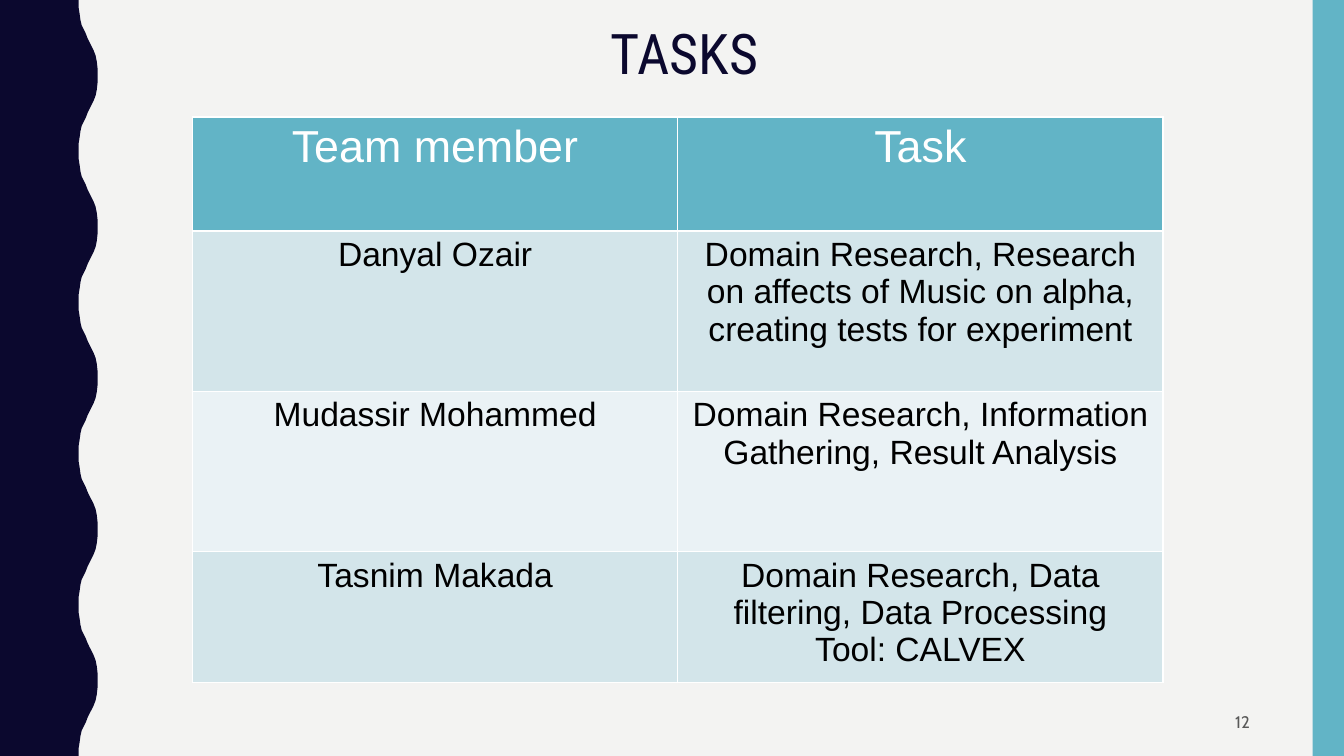
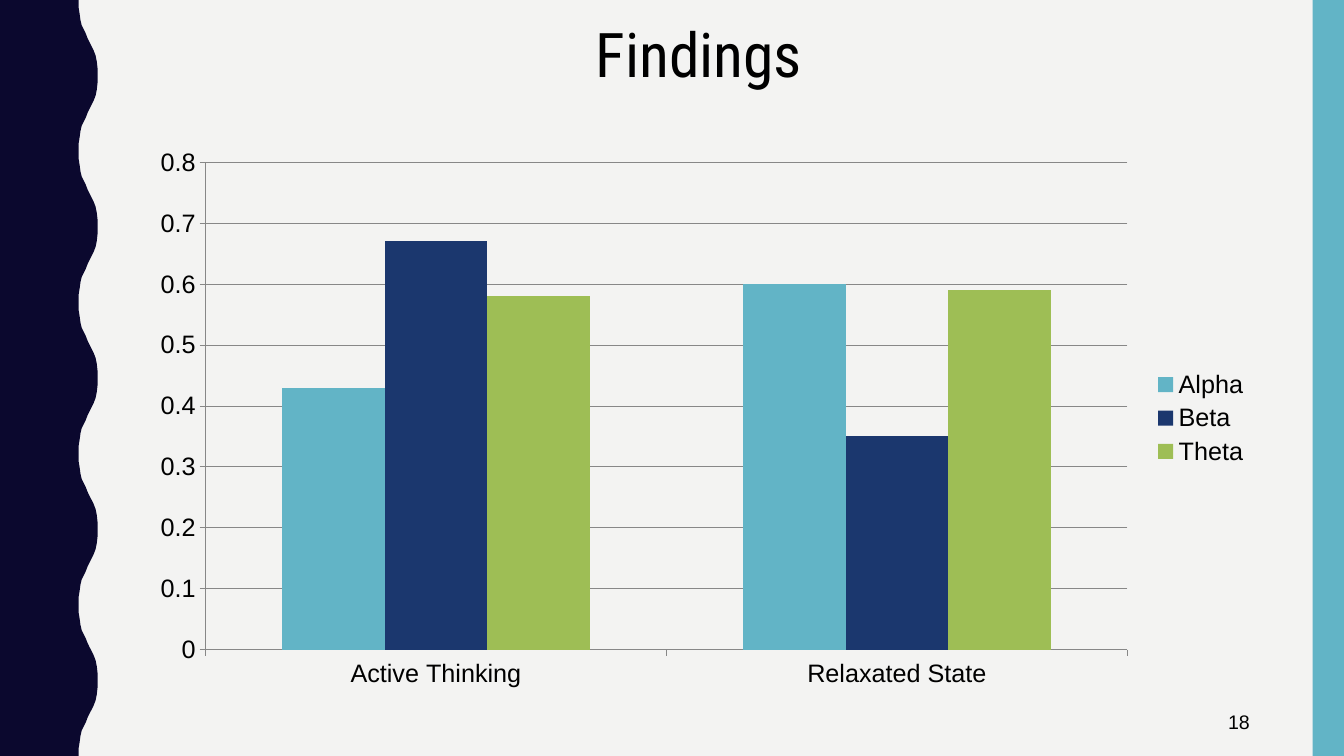
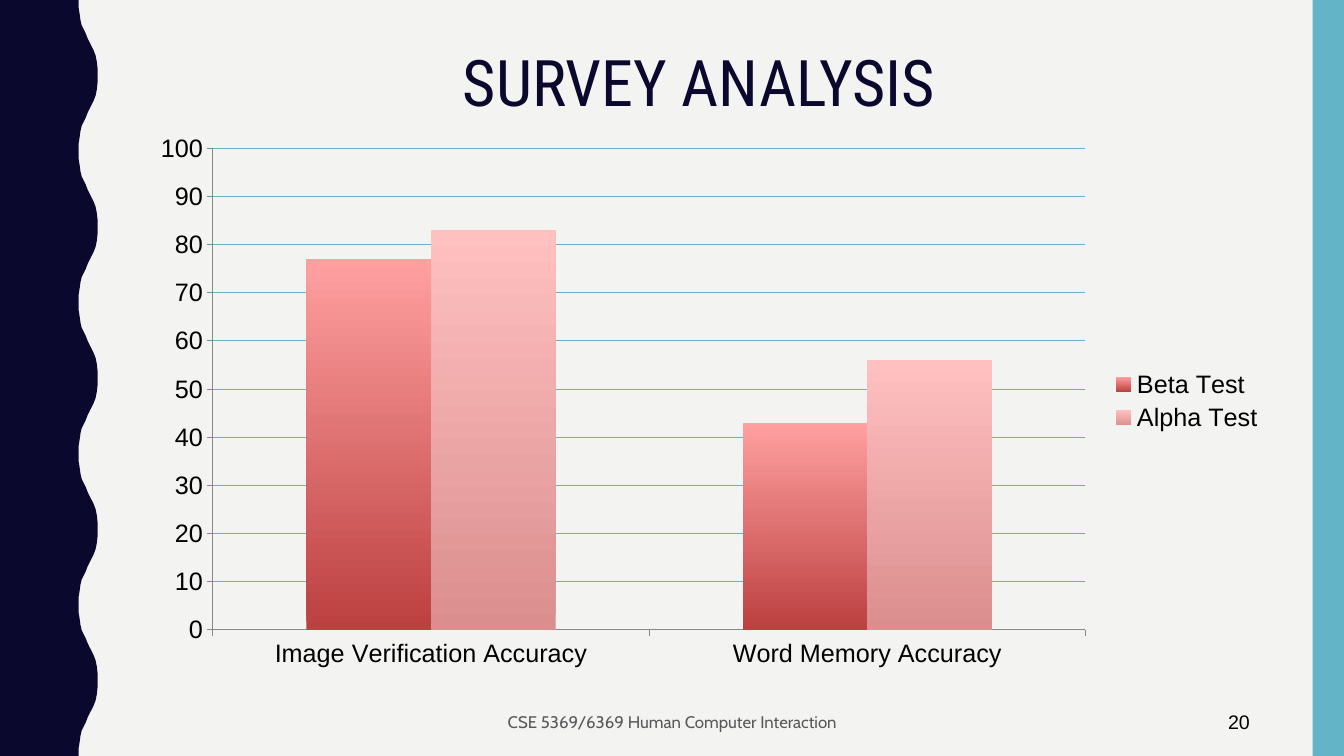
from dataclasses import dataclass

import lxml.etree
import pptx
import pptx.chart.data
import pptx.dml.color
import pptx.enum.chart
import pptx.enum.shapes
import pptx.enum.text
import pptx.oxml.ns
import pptx.util

Cm = pptx.util.Cm
Pt = pptx.util.Pt
RGBColor = pptx.dml.color.RGBColor
Align = pptx.enum.text.PP_ALIGN

PAPER = RGBColor(0xF3, 0xF3, 0xF2)
NAVY = RGBColor(0x0B, 0x08, 0x2E)
TEAL = RGBColor(0x62, 0xB4, 0xC6)
BLUE = RGBColor(0x1B, 0x37, 0x6E)
GREEN = RGBColor(0x9E, 0xBE, 0x55)
GREY = RGBColor(0x59, 0x59, 0x59)
AXIS_GREY = RGBColor(0x87, 0x87, 0x87)
BLACK = RGBColor(0, 0, 0)
WHITE = RGBColor(0xFF, 0xFF, 0xFF)
ROW_DARK = RGBColor(0xD3, 0xE5, 0xEA)
ROW_LIGHT = RGBColor(0xEA, 0xF2, 0xF5)
RED_LIGHT = RGBColor(0xFF, 0xA0, 0xA0)
RED_DARK = RGBColor(0xBC, 0x40, 0x40)
PINK_LIGHT = RGBColor(0xFF, 0xC0, 0xC0)
PINK_DARK = RGBColor(0xDB, 0x8E, 0x8E)

SLIDE_WIDTH, SLIDE_HEIGHT = 33.87, 19.05
BAND_WIDTH = 0.79
WAVE_COUNT = 5
WAVE_LENGTH = SLIDE_HEIGHT / WAVE_COUNT
HALF_WAVE = [
    (1.98, 0), (1.98, 0.18), (2.01, 0.36), (2.03, 0.51), (2.06, 0.64),
    (2.11, 0.74), (2.16, 0.84), (2.21, 0.97), (2.26, 1.07), (2.31, 1.17),
    (2.36, 1.27), (2.41, 1.4), (2.44, 1.55), (2.46, 1.73), (2.46, 1.9),
]


@dataclass(frozen=True)
class Box:
    left: float
    top: float
    width: float
    height: float

    def lengths(self) -> list[pptx.util.Length]:
        return [Cm(n) for n in (self.left, self.top, self.width, self.height)]


@dataclass(frozen=True)
class Style:
    font: str
    size: float
    color: RGBColor
    align: Align = Align.CENTER
    spacing: float = 1.0


@dataclass(frozen=True)
class Series:
    name: str
    values: tuple[float, ...]
    top_color: RGBColor
    bottom_color: RGBColor | None = None


@dataclass(frozen=True)
class ColumnChart:
    box: Box
    categories: tuple[str, ...]
    series: tuple[Series, ...]
    maximum: float
    step: float
    grid_color: RGBColor


FOOTER_BOX = Box(11.23, 17.7, 11.43, 0.97)
NUMBER_BOX = Box(23.93, 17.7, 7.82, 0.97)
SMALL = Style("Cabin", 12, GREY)
NUMBER_SMALL = Style("Cabin", 12, GREY, Align.RIGHT)
NUMBER_LARGE = Style("Arial", 14, BLACK, Align.RIGHT)
HEADER = Style("Arial", 32, WHITE)
BODY = Style("Arial", 24, BLACK)

ROW_HEIGHTS = (2.87, 4.04, 4.04, 3.07)
TABLE_BOX = Box(4.85, 2.95, 24.46, sum(ROW_HEIGHTS))
TASKS = [
    ("Team member", "Task"),
    ("Danyal Ozair",
     "Domain Research, Research on affects of Music on alpha, creating tests for experiment"),
    ("Mudassir Mohammed", "Domain Research, Information Gathering, Result Analysis"),
    ("Tasnim Makada", "Domain Research, Data filtering, Data Processing\nTool: CALVEX"),
]

FINDINGS = ColumnChart(
    Box(3.48, 3.45, 28.27, 14.17),
    ("Active Thinking", "Relaxated State"),
    (
        Series("Alpha", (0.43, 0.6), TEAL),
        Series("Beta", (0.67, 0.35), BLUE),
        Series("Theta", (0.58, 0.59), GREEN),
    ),
    0.8, 0.1, AXIS_GREY,
)
SURVEY = ColumnChart(
    Box(3.48, 3.1, 28.63, 14.02),
    ("Image Verification Accuracy", "Word Memory Accuracy"),
    (
        Series("Beta Test", (77, 43), RED_LIGHT, RED_DARK),
        Series("Alpha Test", (83, 56), PINK_LIGHT, PINK_DARK),
    ),
    100, 10, TEAL,
)


def write(frame, text: str, style: Style) -> None:
    for index, line in enumerate(text.split("\n")):
        paragraph = frame.add_paragraph() if index else frame.paragraphs[0]
        paragraph.alignment = style.align
        paragraph.line_spacing = style.spacing
        run = paragraph.add_run()
        run.text = line
        run.font.name = style.font
        run.font.size = Pt(style.size)
        run.font.bold = False
        run.font.color.rgb = style.color


def add_text(slide, box: Box, text: str, style: Style) -> None:
    frame = slide.shapes.add_textbox(*box.lengths()).text_frame
    frame.word_wrap = True
    frame.vertical_anchor = pptx.enum.text.MSO_ANCHOR.MIDDLE
    write(frame, text, style)


def paint(shape, color: RGBColor) -> None:
    shape.shadow.inherit = False
    shape.fill.solid()
    shape.fill.fore_color.rgb = color
    shape.line.fill.background()


def add_wave(slide) -> None:
    mirrored = [(x, WAVE_LENGTH - y) for x, y in reversed(HALF_WAVE[:-1])]
    edge = [
        (Cm(x), Cm(y + wave * WAVE_LENGTH))
        for wave in range(WAVE_COUNT)
        for x, y in HALF_WAVE + mirrored
    ]
    outline = slide.shapes.build_freeform(0, 0)
    outline.add_line_segments(edge + [(0, Cm(SLIDE_HEIGHT))], close=True)
    paint(outline.convert_to_shape(), NAVY)


def add_page(deck, title: str, title_box: Box, size: float, color: RGBColor,
             number: str, number_style: Style):
    slide = deck.slides.add_slide(deck.slide_layouts[6])
    add_wave(slide)
    band = Box(SLIDE_WIDTH - BAND_WIDTH, 0, BAND_WIDTH, SLIDE_HEIGHT)
    paint(slide.shapes.add_shape(
        pptx.enum.shapes.MSO_SHAPE.RECTANGLE, *band.lengths()), TEAL)
    add_text(slide, title_box, title,
             Style("Roboto Condensed", size, color, spacing=0.9))
    add_text(slide, NUMBER_BOX, number, number_style)
    return slide


def add_borders(cell) -> None:
    properties = cell._tc.get_or_add_tcPr()
    for side in ("lnL", "lnR", "lnT", "lnB"):
        line = lxml.etree.SubElement(
            properties, pptx.oxml.ns.qn(f"a:{side}"), w=str(Pt(1)))
        fill = lxml.etree.SubElement(line, pptx.oxml.ns.qn("a:solidFill"))
        lxml.etree.SubElement(fill, pptx.oxml.ns.qn("a:srgbClr"), val=str(WHITE))


def add_tasks(slide) -> None:
    table = slide.shapes.add_table(
        len(TASKS), len(TASKS[0]), *TABLE_BOX.lengths()).table
    table.first_row = False
    table.horz_banding = False
    for index, (row, height) in enumerate(zip(TASKS, ROW_HEIGHTS)):
        table.rows[index].height = Cm(height)
        band = ROW_DARK if index % 2 else ROW_LIGHT
        for column, text in enumerate(row):
            cell = table.cell(index, column)
            add_borders(cell)
            cell.fill.solid()
            cell.fill.fore_color.rgb = band if index else TEAL
            write(cell.text_frame, text, BODY if index else HEADER)


def fill_columns(fill, series: Series) -> None:
    if series.bottom_color is None:
        fill.solid()
        fill.fore_color.rgb = series.top_color
        return
    fill.gradient()
    fill.gradient_angle = 90
    for stop, color in zip(fill.gradient_stops, (series.bottom_color, series.top_color)):
        stop.color.rgb = color


def add_columns(slide, columns: ColumnChart) -> None:
    data = pptx.chart.data.CategoryChartData()
    data.categories = columns.categories
    for series in columns.series:
        data.add_series(series.name, series.values)
    chart = slide.shapes.add_chart(
        pptx.enum.chart.XL_CHART_TYPE.COLUMN_CLUSTERED,
        *columns.box.lengths(), data).chart
    chart.has_title = False
    chart.font.name = "Arial"
    chart.font.size = Pt(18)
    chart.font.color.rgb = BLACK
    chart.has_legend = True
    chart.legend.position = pptx.enum.chart.XL_LEGEND_POSITION.RIGHT
    chart.legend.include_in_layout = False

    plot = chart.plots[0]
    plot.vary_by_categories = False
    plot.gap_width = 150
    plot.overlap = 0
    for drawn, series in zip(plot.series, columns.series):
        drawn.invert_if_negative = False
        fill_columns(drawn.format.fill, series)

    for axis in (chart.category_axis, chart.value_axis):
        axis.major_tick_mark = pptx.enum.chart.XL_TICK_MARK.OUTSIDE
        axis.format.line.color.rgb = AXIS_GREY
        axis.format.line.width = Pt(0.75)
    scale = chart.value_axis
    scale.minimum_scale = 0
    scale.maximum_scale = columns.maximum
    scale.major_unit = columns.step
    scale.has_major_gridlines = True
    scale.major_gridlines.format.line.color.rgb = columns.grid_color
    scale.major_gridlines.format.line.width = Pt(0.75)


def main() -> None:
    deck = pptx.Presentation()
    deck.slide_width = Cm(SLIDE_WIDTH)
    deck.slide_height = Cm(SLIDE_HEIGHT)
    background = deck.slide_master.background.fill
    background.solid()
    background.fore_color.rgb = PAPER

    tasks = add_page(deck, "TASKS", Box(2.64, 0.2, 29.21, 2.46), 40, NAVY,
                     "12", NUMBER_SMALL)
    add_tasks(tasks)

    findings = add_page(deck, "Findings", Box(3.48, 0, 28.27, 2.92), 44, BLACK,
                        "18", NUMBER_LARGE)
    add_columns(findings, FINDINGS)

    survey = add_page(deck, "SURVEY ANALYSIS", Box(3.48, 1.07, 28.27, 2.16), 45.9, NAVY,
                      "20", NUMBER_LARGE)
    add_text(survey, FOOTER_BOX, "CSE 5369/6369 Human Computer Interaction", SMALL)
    add_columns(survey, SURVEY)

    deck.save("out.pptx")


if __name__ == "__main__":
    main()
